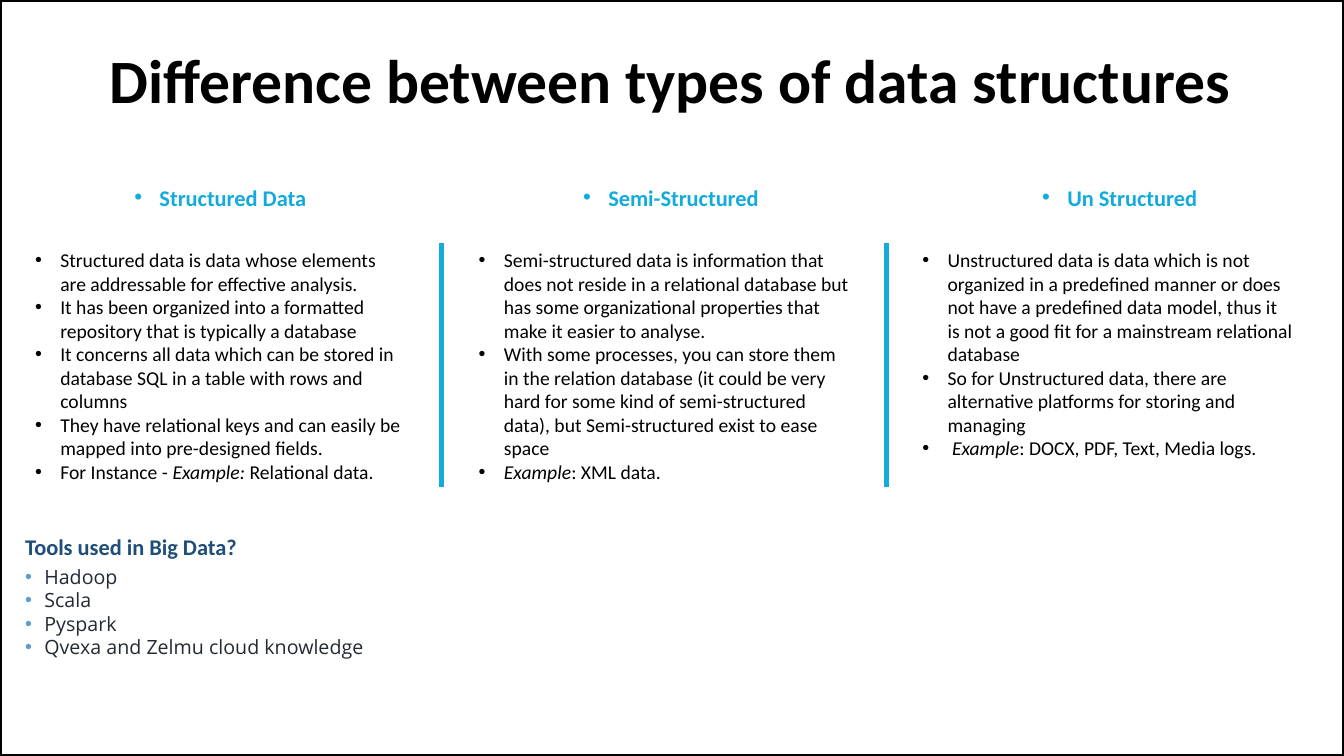
import pptx
import pptx.util
import pptx.dml.color
import pptx.enum.shapes
import pptx.enum.text
import pptx.oxml.ns
import lxml.etree

Inches = pptx.util.Inches
ALIGN = pptx.enum.text.PP_ALIGN
ANCHOR = pptx.enum.text.MSO_ANCHOR
COLORS = {"black": "000000", "cyan": "12ABDB", "navy": "1F4E79",
          "slate": "222A35", "bullet": "5B9BD5"}


def add_text(box, paragraphs, size, color, font="Calibri", bold=False,
             align=ALIGN.LEFT, anchor=ANCHOR.TOP, margins=(0, 0)):
    """Add a text box; each paragraph is a list of (text, italic) runs."""
    frame = slide.shapes.add_textbox(*[Inches(length) for length in box]).text_frame
    frame.word_wrap = True
    frame.vertical_anchor = anchor
    frame.margin_left = frame.margin_right = Inches(margins[0])
    frame.margin_top = frame.margin_bottom = Inches(margins[1])
    for index, runs in enumerate(paragraphs):
        paragraph = frame.paragraphs[0] if index == 0 else frame.add_paragraph()
        paragraph.alignment = align
        paragraph.font.name = font
        paragraph.font.size = pptx.util.Pt(size)
        paragraph.font.bold = bold
        paragraph.font.color.rgb = pptx.dml.color.RGBColor.from_string(COLORS[color])
        for text, italic in runs:
            run = paragraph.add_run()
            run.text = text
            if italic:
                run.font.italic = True
    return frame


def add_bullets(frame, indent, color):
    """Give every paragraph of a frame a hanging round bullet."""
    for paragraph in frame.paragraphs:
        properties = paragraph._p.get_or_add_pPr()
        properties.set("marL", str(Inches(indent)))
        properties.set("indent", str(-Inches(indent)))
        bullet_parts = [("a:buClr", {}), ("a:buFont", {"typeface": "Arial"}),
                        ("a:buChar", {"char": "•"})]
        position = 0
        for tag, attributes in bullet_parts:
            part = lxml.etree.Element(pptx.oxml.ns.qn(tag), attributes)
            if tag == "a:buClr":
                lxml.etree.SubElement(part, pptx.oxml.ns.qn("a:srgbClr"), val=COLORS[color])
            properties.insert(position, part)
            position += 1


presentation = pptx.Presentation()
presentation.slide_width = Inches(13.33)
presentation.slide_height = Inches(7.5)
slide = presentation.slides.add_slide(presentation.slide_layouts[6])

title = add_text((0.9, 0.1, 11.5, 1.45), [[("Difference between types of data structures", False)]],
                 44, "black", bold=True, align=ALIGN.CENTER, anchor=ANCHOR.MIDDLE,
                 margins=(0.1, 0.05))
title.paragraphs[0].line_spacing = 0.9

# Three columns: heading, left edge of heading, left edge of body, body paragraphs
columns = [
    ("Structured Data", 0.25, 0.25, [
        [("Structured data is data whose elements are addressable for effective analysis.", False)],
        [("It has been organized into a formatted repository that is typically a database", False)],
        [("It concerns all data which can be stored in database SQL in a table with rows "
          "and columns", False)],
        [("They have relational keys and can easily be mapped into pre-designed fields.", False)],
        [("For Instance - ", False), ("Example:", True), ("\u00a0Relational data.", False)],
    ]),
    ("Semi-Structured", 4.72, 4.65, [
        [("Semi-structured data is information that does not reside in a relational database "
          "but has some organizational properties that make it easier to analyse.", False)],
        [("With some processes, you can store them in the relation database (it could be very "
          "hard for some kind of semi-structured data), but Semi-structured exist to ease "
          "space", False)],
        [("Example", True), (": XML data.", False)],
    ]),
    ("Un Structured", 9.17, 9.05, [
        [("Unstructured data is data which is not organized in a predefined manner or does not "
          "have a predefined data model, thus it is not a good fit for a mainstream relational "
          "database", False)],
        [("So for Unstructured data, there are alternative platforms for storing and "
          "managing", False)],
        [("\u00a0", False), ("Example", True), (": DOCX, PDF, Text, Media logs.", False)],
    ]),
]
column_width, body_top, body_height = 3.87, 2.41, 2.42
for heading, heading_left, body_left, body in columns:
    heading_frame = add_text((heading_left, 1.55, column_width, 0.81), [[(heading, False)]],
                             16, "cyan", bold=True, align=ALIGN.CENTER, anchor=ANCHOR.MIDDLE)
    add_bullets(heading_frame, 0.25, "cyan")
    body_frame = add_text((body_left, body_top, column_width, body_height), body,
                          14, "black", margins=(0.1, 0.05))
    add_bullets(body_frame, 0.25, "black")

for divider_left in (4.38, 8.79):
    divider = slide.shapes.add_connector(
        pptx.enum.shapes.MSO_CONNECTOR.STRAIGHT, Inches(divider_left), Inches(body_top),
        Inches(divider_left), Inches(body_top + body_height))
    divider.line.color.rgb = pptx.dml.color.RGBColor.from_string(COLORS["cyan"])
    divider.line.width = pptx.util.Pt(3.75)
    lxml.etree.SubElement(divider._element.spPr, pptx.oxml.ns.qn("a:effectLst"))

tools = ["Hadoop", "Scala", "Pyspark", "Qvexa and Zelmu cloud knowledge"]
tools_frame = add_text((0.25, 5.6, 12.86, 1.16), [[(tool, False)] for tool in tools],
                       14, "slate", font="Open Sans")
add_bullets(tools_frame, 0.19, "bullet")
add_text((0.25, 5.1, 12.86, 0.46), [[("Tools used in Big Data?", False)]],
         16, "navy", bold=True, anchor=ANCHOR.BOTTOM)

border = slide.shapes.add_shape(pptx.enum.shapes.MSO_SHAPE.RECTANGLE, 0, 0,
                                presentation.slide_width, presentation.slide_height)
border.shadow.inherit = False
border.fill.background()
border.line.color.rgb = pptx.dml.color.RGBColor.from_string(COLORS["black"])
border.line.width = pptx.util.Pt(2.25)

presentation.save("out.pptx")
